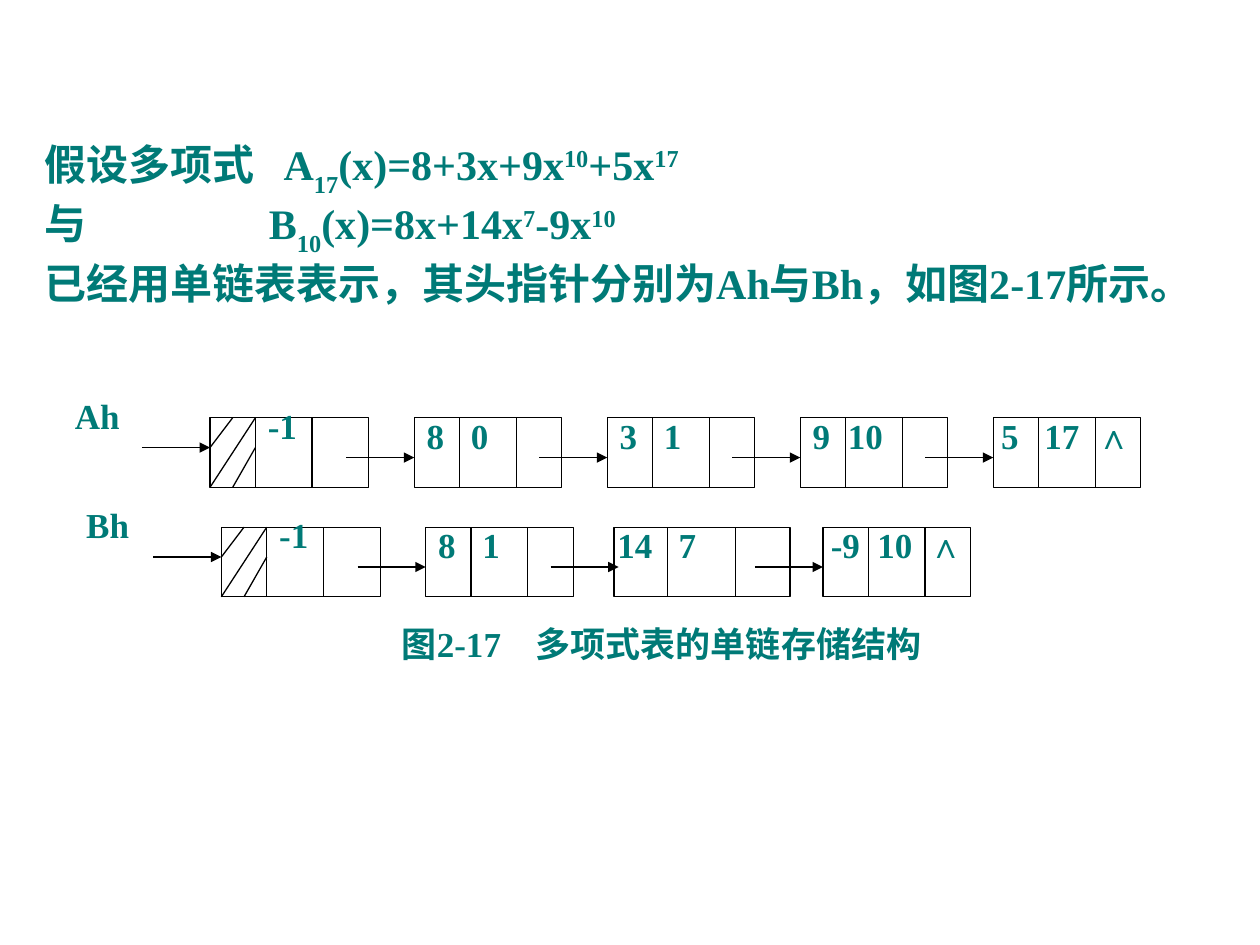
import pptx
import pptx.util
import pptx.dml.color
import pptx.enum.shapes
import pptx.enum.text
import pptx.oxml.ns
from lxml import etree

TEAL = pptx.dml.color.RGBColor(0x00, 0x7A, 0x77)
BLACK = pptx.dml.color.RGBColor(0, 0, 0)
WHITE = pptx.dml.color.RGBColor(255, 255, 255)
COLS, ROWS = 111, 95  # grid of the whole slide
TALL = 7              # rows in a list node
SHAPES = pptx.enum.shapes
TEXT = pptx.enum.text


def add(parent, tag, **attrs):
    return etree.SubElement(parent, pptx.oxml.ns.qn(tag), **attrs)


class Board:
    """Style and current slide; all lengths are grid columns and rows."""

    def __init__(self, deck):
        self.deck = deck
        self.slide = deck.slides.add_slide(deck.slide_layouts[6])
        self.font = {"name": "Times New Roman", "bold": True}

    def x(self, cols):
        return round(self.deck.slide_width * cols / COLS)

    def y(self, rows):
        return round(self.deck.slide_height * rows / ROWS)

    def rect(self, left, top, wide, high):
        box = self.slide.shapes.add_shape(
            SHAPES.MSO_SHAPE.RECTANGLE,
            self.x(left), self.y(top), self.x(wide), self.y(high))
        box.shadow.inherit = False
        box.fill.solid()
        box.fill.fore_color.rgb = WHITE
        box.line.color.rgb = BLACK
        box.line.width = pptx.util.Pt(0.75)

    def line(self, x1, y1, x2, y2, arrow=False):
        line = self.slide.shapes.add_connector(
            SHAPES.MSO_CONNECTOR.STRAIGHT,
            self.x(x1), self.y(y1), self.x(x2), self.y(y2))
        line.line.color.rgb = BLACK
        line.line.width = pptx.util.Pt(0.75)
        if arrow:
            add(line.line._get_or_add_ln(), "a:tailEnd", type="triangle")
        add(line._element.spPr, "a:effectLst")

    def text(self, left, top, wide, high, paras, size=20, grow=False):
        """Each paragraph is (tab stops, runs); a run is (words, baseline)."""
        box = self.slide.shapes.add_textbox(
            self.x(left), self.y(top), self.x(wide), self.y(high))
        frame = box.text_frame
        frame.word_wrap = True
        if grow:
            frame.auto_size = TEXT.MSO_AUTO_SIZE.SHAPE_TO_FIT_TEXT
        form = self.font | {"size": pptx.util.Pt(size)}
        for i, (stops, runs) in enumerate(paras):
            para = frame.add_paragraph() if i else frame.paragraphs[0]
            para.alignment = TEXT.PP_ALIGN.LEFT
            if stops:
                tabs = add(para._p.get_or_add_pPr(), "a:tabLst")
                for stop in stops:
                    add(tabs, "a:tab", pos=str(self.x(stop)), algn="l")
            for words, base in runs:
                run = para.add_run()
                run.text = words
                for key, value in form.items():
                    setattr(run.font, key, value)
                run.font.color.rgb = TEAL
                if base:
                    run._r.get_or_add_rPr().set("baseline", str(base * 1000))

    def label(self, left, top, wide, high, words, stops=()):
        self.text(left, top, wide, high, [(stops, [(words, 0)])])

    def node(self, left, top, cells):
        """Frame with a divider after each cell but the last."""
        self.rect(left, top, sum(cells), TALL)
        for i in range(1, len(cells)):
            edge = left + sum(cells[:i])
            self.line(edge, top, edge, top + TALL)

    def head(self, left, top, name):
        """Hatched head node with its named pointer."""
        self.node(left, top, (4, 5, 5))
        for x1, y1, x2, y2 in ((4, 0, 0, TALL), (2, 0, 0, 3), (4, 3, 2, TALL)):
            self.line(left + x1, top + y1, left + x2, top + y2)
        self.label(left + 4, top - 2, 9, 9, "-1")
        self.label(left - 13, top - 3, 9, 9, name)
        self.line(left - 6, top + 3, left, top + 3, arrow=True)

    def chain(self, left, top, name, nodes):
        self.head(left, top, name)
        for at, shift, cells, inset, wide, words, stops in nodes:
            start = left + at + shift
            self.node(start, top, cells)
            self.label(start + inset, top - 1, wide, 9, words, stops)
        for at, *_ in nodes:
            self.line(left + at - 6, top + 4, left + at, top + 4, arrow=True)


CELLS = (4, 5, 4)
# column of the link's end, shift of node, cells, text inset and width, words, stops
LIST_A = [
    (18, 0, CELLS, 0, 11, "8\t0", [3.9]),
    (35, 0, CELLS, 0, 11, "3\t1", [3.9]),
    (52, 0, CELLS, 0, 11, "9\t10", [3.1]),
    (69, 0, CELLS, -0.4, 16.4, "5\t17\t∧", [3.8, 8.4]),
]
LIST_B = [
    (18, 0, CELLS, 0, 11, "8\t1", [3.9]),
    (35, -0.4, (4.7, 6, 4.8), -0.8, 12.2, "14\t7", [5.4]),
    (53, 0, CELLS, -0.4, 15.4, "-9\t10\t∧", [4.1, 8.6]),
]
INTRO = [
    ([21.1], [("假设多项式\tA", 0), ("17", -30), ("(x)=8+3x+9x", 0),
              ("10", 30), ("+5x", 0), ("17", 30)]),
    ([19.8], [("与\tB", 0), ("10", -30), ("(x)=8x+14x", 0),
              ("7", 30), ("-9x", 0), ("10", 30)]),
    ([], [("已经用单链表表示，其头指针分别为Ah与Bh，如图2-17所示。", 0)]),
]


def main():
    deck = pptx.Presentation()
    deck.slide_width = pptx.util.Inches(10)
    deck.slide_height = pptx.util.Inches(7.5)
    board = Board(deck)

    # Linked lists
    board.chain(18.5, 42, "Ah", LIST_A)
    board.chain(19.5, 53, "Bh", LIST_B)

    # Caption and introduction
    board.label(34.3, 62, 49.8, 10.9, "图2-17\t多项式表的单链存储结构", [11.8])
    board.text(2.8, 13.3, 100.8, 23.7, INTRO, size=24, grow=True)

    deck.save("out.pptx")


if __name__ == "__main__":
    main()
